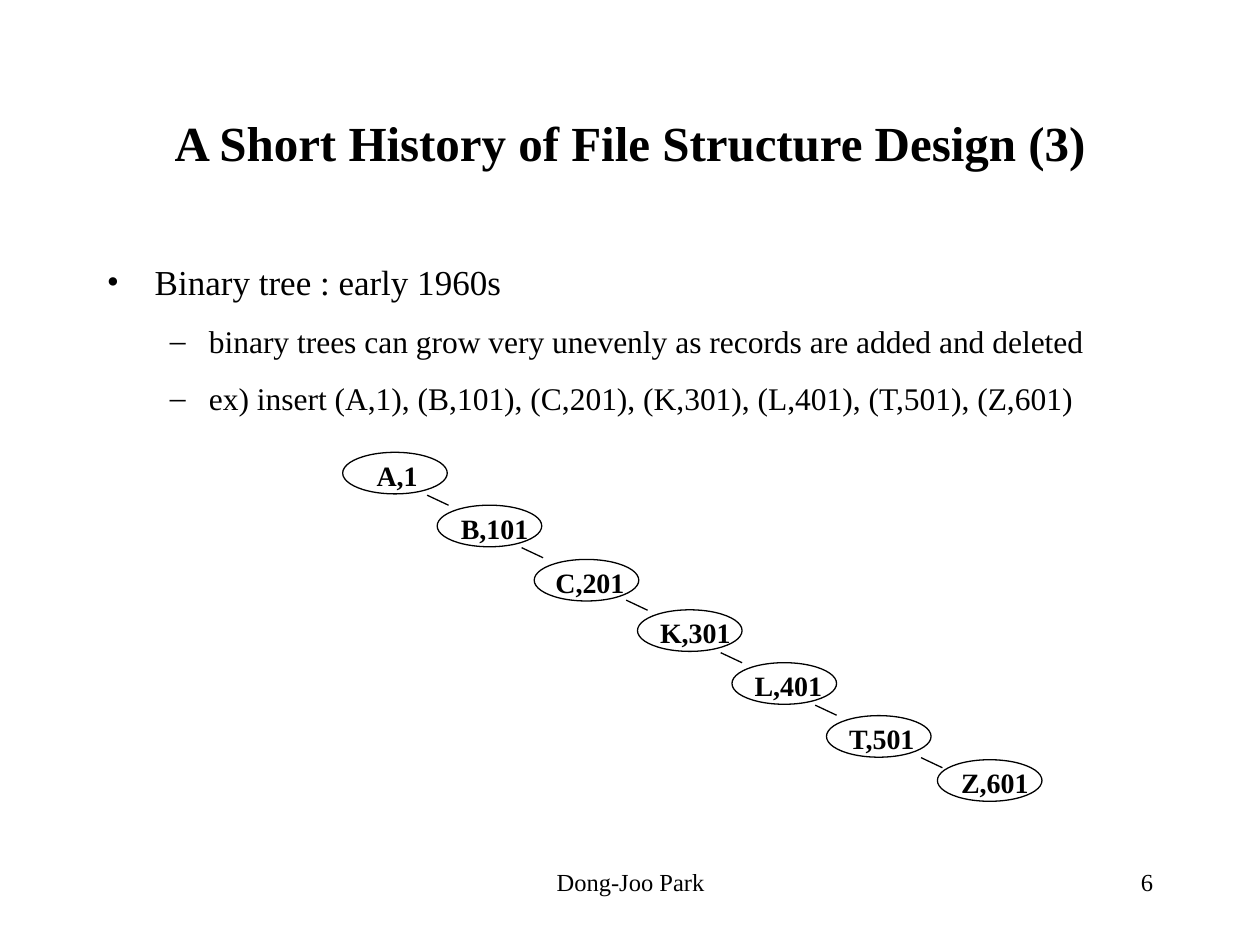
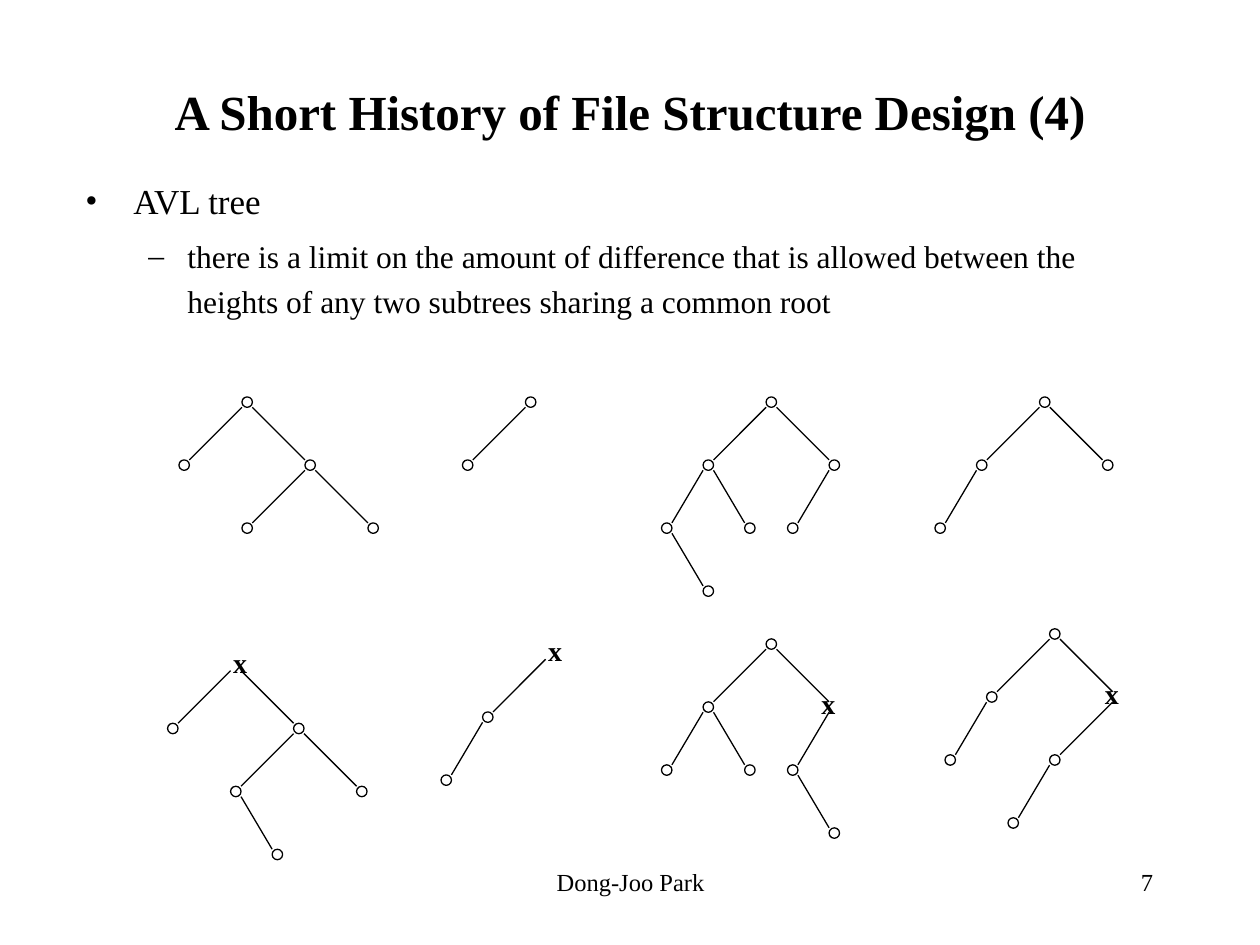
from dataclasses import dataclass

from lxml import etree
from pptx import Presentation
from pptx.dml.color import RGBColor
from pptx.enum.shapes import MSO_CONNECTOR, MSO_SHAPE
from pptx.enum.text import MSO_ANCHOR, PP_ALIGN
from pptx.oxml.ns import qn
from pptx.util import Inches, Pt

FONT = "Times New Roman"
INK = "000000"
LINE_WIDTH = Pt(0.75)

OVAL_W, OVAL_H = 0.83, 0.33
LABEL_W, LABEL_H = 0.9, 0.37
LINK_W, LINK_H = 0.17, 0.08
LINK_STEP = 5 / 12

NODE = 0.083
LEVEL_STEP = 0.5
WIDE, NARROW = 0.5, 0.33

# label, oval left, oval top, label left
RECORDS = [
    ("A,1", 2.72, 3.59, 2.89),
    ("B,101", 3.47, 4.01, 3.56),
    ("C,201", 4.24, 4.44, 4.31),
    ("K,301", 5.06, 4.84, 5.14),
    ("L,401", 5.81, 5.26, 5.89),
    ("T,501", 6.56, 5.68, 6.64),
    ("Z,601", 7.44, 6.03, 7.53),
]
LINK_LEFTS = [3.39, 4.14, 4.97, 5.72, 6.47, 7.31]


@dataclass
class Node:
    """A tree node, dx inches right of its parent; marked ones show an x."""
    dx: float
    children: tuple = ()
    marked: bool = False


def node(dx, *children, marked=False):
    return Node(dx, children, marked)


# root left, root top, root
TREES = [
    (1.92, 3.15, node(0, node(-WIDE), node(WIDE, node(-WIDE), node(WIDE)))),
    (4.17, 3.15, node(0, node(-WIDE))),
    (6.08, 3.15, node(0, node(-WIDE, node(-NARROW, node(NARROW)), node(NARROW)),
                      node(WIDE, node(-NARROW)))),
    (8.25, 3.15, node(0, node(-WIDE, node(-NARROW)), node(WIDE))),
    (1.83, 5.24, node(0, node(-WIDE),
                      node(WIDE, node(-WIDE, node(NARROW)), node(WIDE)),
                      marked=True)),
    (4.33, 5.15, node(0, node(-WIDE, node(-NARROW)), marked=True)),
    (6.08, 5.07, node(0, node(-WIDE, node(-NARROW), node(NARROW)),
                      node(WIDE, node(-NARROW, node(NARROW)), marked=True))),
    (8.33, 4.99, node(0, node(-WIDE, node(-NARROW)),
                      node(WIDE, node(-WIDE, node(-NARROW)), marked=True))),
]


def rgb(value):
    return RGBColor.from_string(value)


def inches(*values):
    return [Inches(v) for v in values]


def format_runs(p, size, bold=False):
    for r in p.runs:
        r.font.name = FONT
        r.font.size = Pt(size)
        r.font.bold = bold
        r.font.color.rgb = rgb(INK)


def add_text(s, box, text, size, align=PP_ALIGN.LEFT, bold=False):
    tf = s.shapes.add_textbox(*inches(*box)).text_frame
    tf.word_wrap = True
    p = tf.paragraphs[0]
    p.text = text
    p.alignment = align
    format_runs(p, size, bold)
    return tf


def add_oval(s, *box):
    sp = s.shapes.add_shape(MSO_SHAPE.OVAL, *inches(*box))
    sp.shadow.inherit = False
    sp.fill.background()
    sp.line.color.rgb = rgb(INK)
    sp.line.width = LINE_WIDTH


def add_link(s, *ends):
    cxn = s.shapes.add_connector(MSO_CONNECTOR.STRAIGHT, *inches(*ends))
    cxn.line.color.rgb = rgb(INK)
    cxn.line.width = LINE_WIDTH
    etree.SubElement(cxn._element.spPr, qn("a:effectLst"))


def add_bullet(p, char, indent, hanging):
    pPr = p._p.get_or_add_pPr()
    pPr.set("marL", str(Inches(indent)))
    pPr.set("indent", str(-Inches(hanging)))
    etree.SubElement(pPr, qn("a:buFont")).set("typeface", FONT)
    etree.SubElement(pPr, qn("a:buChar")).set("char", char)


def add_body(s, box, heading, points, spacing):
    tf = s.shapes.add_textbox(*inches(*box)).text_frame
    tf.word_wrap = True
    for i, text in enumerate([heading, *points]):
        p = tf.add_paragraph() if i else tf.paragraphs[0]
        p.text = text
        if i:
            p.level = 1
            add_bullet(p, "–", 0.81, 0.31)
            p.space_before = Pt(4.5)
        else:
            add_bullet(p, "•", 0.38, 0.38)
        p.line_spacing = spacing
        format_runs(p, 18 if i else 20)


def add_slide(prs, title, title_box, number):
    """Add a slide with its title, author footer and slide number."""
    s = prs.slides.add_slide(prs.slide_layouts[5])
    sp = s.shapes.title
    sp.left, sp.top, sp.width, sp.height = inches(*title_box)
    tf = sp.text_frame
    tf.text = title
    tf.vertical_anchor = MSO_ANCHOR.MIDDLE
    tf.paragraphs[0].alignment = PP_ALIGN.CENTER
    format_runs(tf.paragraphs[0], 28, bold=True)
    add_text(s, (3.42, 6.83, 3.17, 0.5), "Dong-Joo Park", 14, PP_ALIGN.CENTER)
    add_text(s, (7.17, 6.83, 2.08, 0.5), str(number), 14, PP_ALIGN.RIGHT)
    return s


def draw_chain(s):
    """Draw the one-sided binary tree of records."""
    for label, left, top, label_left in RECORDS:
        add_oval(s, left, top, OVAL_W, OVAL_H)
        add_text(s, (label_left, top, LABEL_W, LABEL_H), label, 16, bold=True)
    for i, x in enumerate(LINK_LEFTS):
        y = 3.93 + i * LINK_STEP
        add_link(s, x, y, x + LINK_W, y + LINK_H)


def draw_tree(s, left, top, root):
    """Draw a node whose box starts at left, top, and all that hangs below it."""
    if root.marked:
        shift = 0.16 if root.dx else 0.08
        tf = add_text(s, (left - shift, top - 0.17, 0.31, LABEL_H), "x", 16,
                      PP_ALIGN.CENTER, bold=True)
        tf.vertical_anchor = MSO_ANCHOR.MIDDLE
    else:
        add_oval(s, left, top, NODE, NODE)
    for child in root.children:
        x, y = left + child.dx, top + LEVEL_STEP
        if child.dx < 0:
            add_link(s, x + NODE, y, left, top + NODE)
        else:
            add_link(s, left + NODE, top + NODE, x, y)
        draw_tree(s, x, y, child)


def binary_tree_slide(prs):
    s = add_slide(prs, "A Short History of File Structure Design (3)",
                  (0.75, 0.5, 8.5, 1.25), 6)
    add_body(s, (0.75, 1.92, 8.5, 4.5), "Binary tree : early 1960s", [
        "binary trees can grow very unevenly as records are added and deleted",
        "ex) insert (A,1), (B,101), (C,201), (K,301), (L,401), (T,501), (Z,601)",
    ], 1.3)
    draw_chain(s)


def avl_tree_slide(prs):
    s = add_slide(prs, "A Short History of File Structure Design (4)",
                  (0.75, 0.42, 8.5, 0.92), 7)
    add_body(s, (0.58, 1.31, 8.83, 1.42), "AVL tree", [
        "there is a limit on the amount of difference that is allowed between the "
        "heights of any two subtrees sharing a common root",
    ], 1.2)
    for left, top, root in TREES:
        draw_tree(s, left, top, root)


def main():
    prs = Presentation()
    prs.slide_width, prs.slide_height = inches(10, 7.5)
    binary_tree_slide(prs)
    avl_tree_slide(prs)
    prs.save("out.pptx")


if __name__ == "__main__":
    main()
